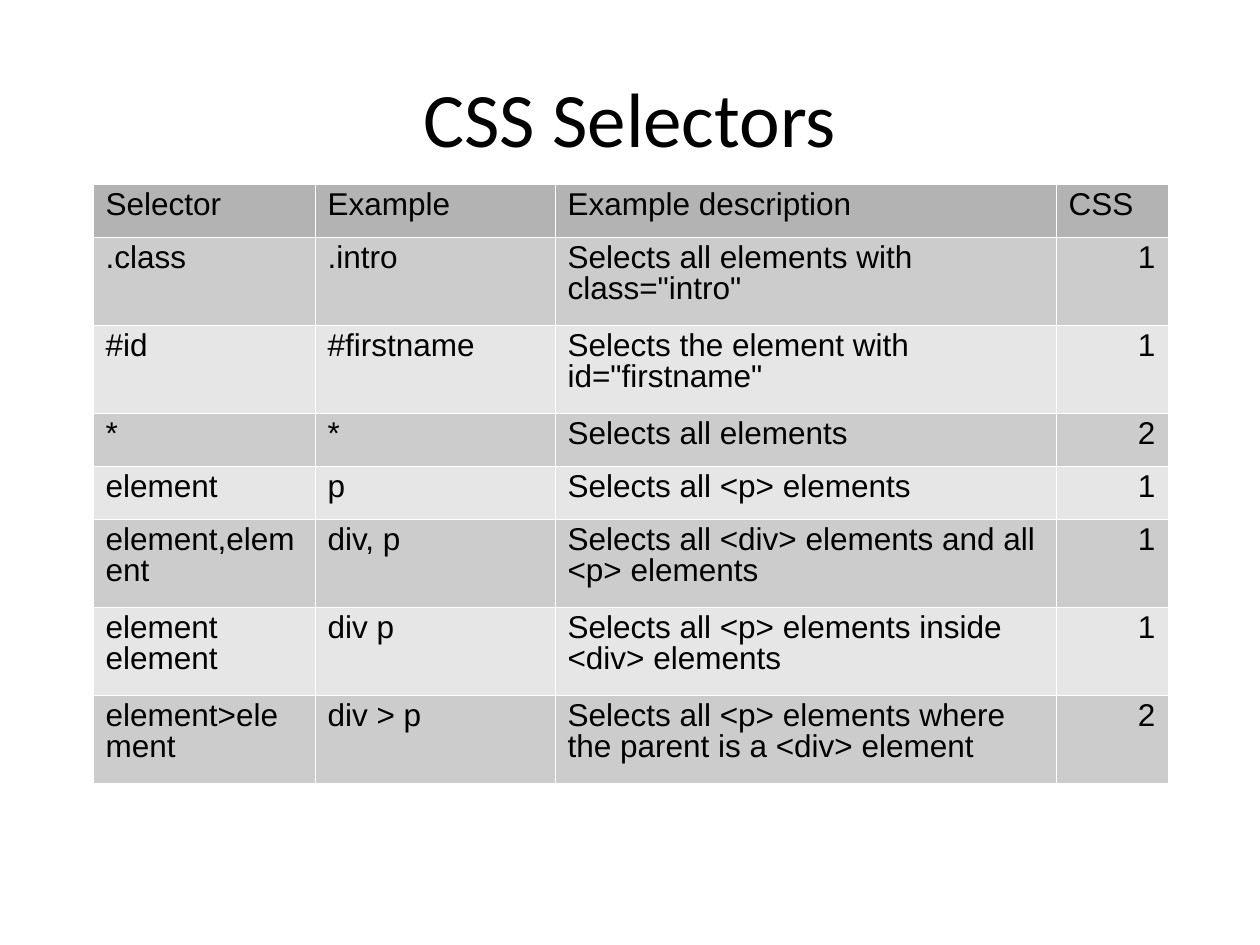
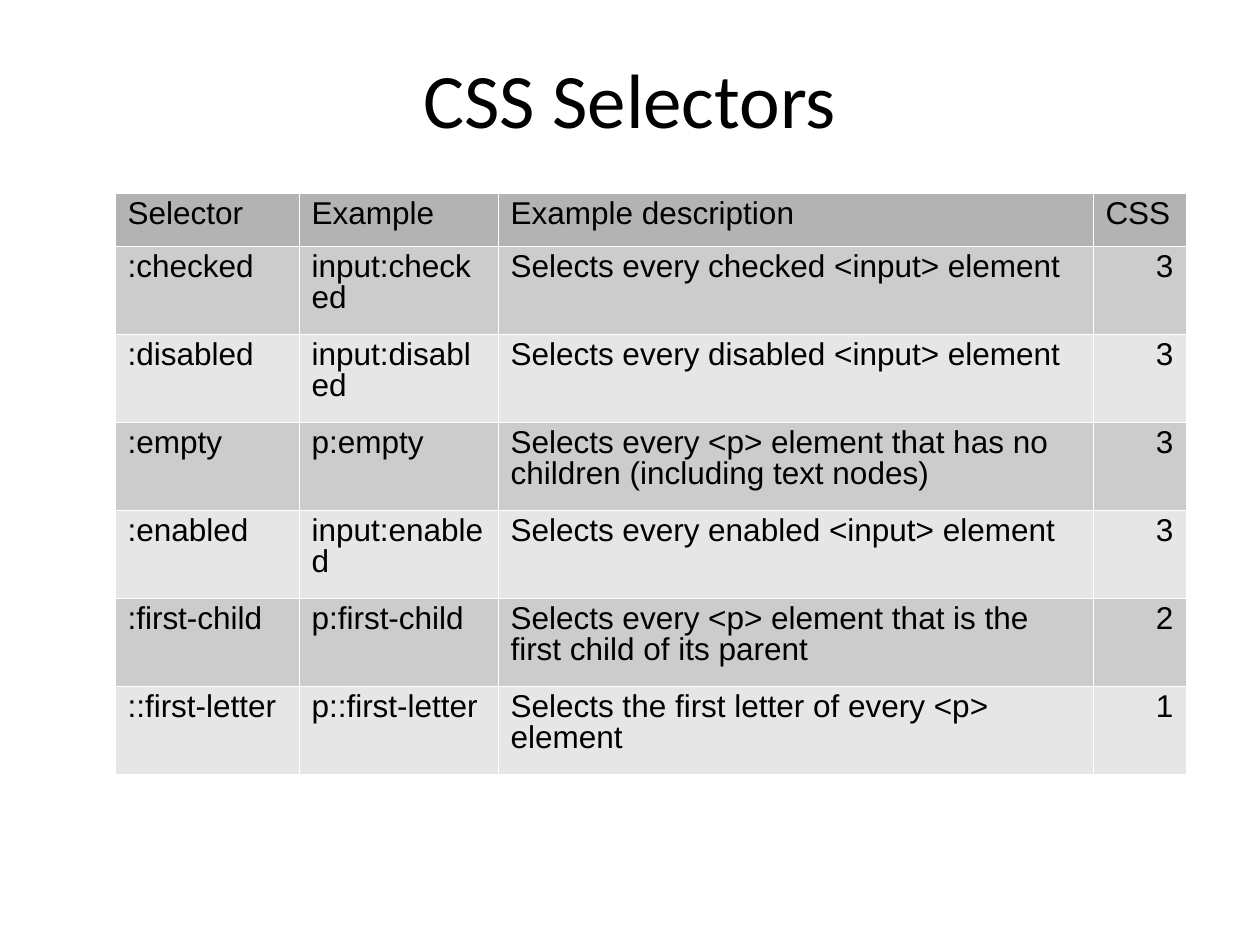
from lxml.etree import SubElement
from pptx import Presentation
from pptx.dml.color import RGBColor
from pptx.enum.text import MSO_ANCHOR, PP_ALIGN
from pptx.oxml.ns import qn
from pptx.util import Pt

PX = 914400 / 126
COLORS = {"text": "000000", "border": "FFFFFF", "header": "B3B3B3",
          "odd": "CCCCCC", "even": "E6E6E6"}
TITLE_FONT = {"name": "Calibri", "size": Pt(44)}
CELL_FONT = {"name": "Arial", "size": Pt(18)}
BORDER_WIDTH = 720
LINE_SPACING = 0.89
SHORT_ROW, TALL_ROW = 53, 88
HEADER = ("Selector", "Example", "Example description", "CSS")

SLIDES = [
    {
        "title_box": (63, 38, 1134, 158),
        "table_corner": (93, 184),
        "columns": (222, 240, 501, 112),
        "short_rows": (0, 3, 4),
        "selectors": [
            (".class", ".intro", 'Selects all elements with class="intro"', "1"),
            ("#id", "#firstname", 'Selects the element with id="firstname"', "1"),
            ("*", "*", "Selects all elements", "2"),
            ("element", "p", "Selects all <p> elements", "1"),
            ("element,element", "div, p",
             "Selects all <div> elements and all <p> elements", "1"),
            ("element element", "div p",
             "Selects all <p> elements inside <div> elements", "1"),
            ("element>element", "div > p",
             "Selects all <p> elements where the parent is a <div> element", "2"),
        ],
    },
    {
        "title_box": (63, 19, 1134, 158),
        "table_corner": (115, 193),
        "columns": (184, 199, 595, 93),
        "short_rows": (0,),
        "selectors": [
            (":checked", "input:checked",
             "Selects every checked <input> element", "3"),
            (":disabled", "input:disabled",
             "Selects every disabled <input> element", "3"),
            (":empty", "p:empty",
             "Selects every <p> element that has no children (including text nodes)",
             "3"),
            (":enabled", "input:enabled",
             "Selects every enabled <input> element", "3"),
            (":first-child", "p:first-child",
             "Selects every <p> element that is the first child of its parent", "2"),
            ("::first-letter", "p::first-letter",
             "Selects the first letter of every <p> element", "1"),
        ],
    },
]


def px(length):
    return round(length * PX)


def write(paragraph, text, font_format, alignment):
    paragraph.text = text
    paragraph.alignment = alignment
    font = paragraph.runs[0].font
    for name, value in font_format.items():
        setattr(font, name, value)
    font.color.rgb = RGBColor.from_string(COLORS["text"])


def add_title(slide, box):
    frame = slide.shapes.add_textbox(*map(px, box)).text_frame
    frame_format = {"word_wrap": True, "vertical_anchor": MSO_ANCHOR.MIDDLE,
                    "margin_left": 0, "margin_right": 0,
                    "margin_top": 0, "margin_bottom": 0}
    for name, value in frame_format.items():
        setattr(frame, name, value)
    write(frame.paragraphs[0], "CSS Selectors", TITLE_FONT, PP_ALIGN.CENTER)


def add_borders(cell):
    """Outline the cell; call before filling it, as lines precede the fill."""
    properties = cell._tc.get_or_add_tcPr()
    for side in ("a:lnL", "a:lnR", "a:lnT", "a:lnB"):
        line = SubElement(properties, qn(side), w=str(BORDER_WIDTH))
        fill = SubElement(line, qn("a:solidFill"))
        SubElement(fill, qn("a:srgbClr"), val=COLORS["border"])


def format_cell(cell, text, color, alignment):
    add_borders(cell)
    cell.fill.solid()
    cell.fill.fore_color.rgb = RGBColor.from_string(color)
    paragraph = cell.text_frame.paragraphs[0]
    write(paragraph, text, CELL_FONT, alignment)
    paragraph.line_spacing = LINE_SPACING


def row_color(row):
    if row == 0:
        return COLORS["header"]
    return COLORS["odd" if row % 2 else "even"]


def add_selector_table(slide, corner, columns, short_rows, selectors):
    rows = [HEADER, *selectors]
    heights = [SHORT_ROW if row in short_rows else TALL_ROW
               for row in range(len(rows))]
    box = (*corner, sum(columns), sum(heights))
    table = slide.shapes.add_table(len(rows), len(columns), *map(px, box)).table
    table.first_row = table.horz_banding = False
    for column, width in zip(table.columns, columns):
        column.width = px(width)
    for row, (texts, height) in enumerate(zip(rows, heights)):
        table.rows[row].height = px(height)
        for column, text in enumerate(texts):
            is_level = row > 0 and HEADER[column] == "CSS"
            alignment = PP_ALIGN.RIGHT if is_level else PP_ALIGN.LEFT
            format_cell(table.cell(row, column), text, row_color(row), alignment)


def main():
    presentation = Presentation()
    presentation.slide_width, presentation.slide_height = px(1260), px(945)
    for content in SLIDES:
        slide = presentation.slides.add_slide(presentation.slide_layouts[6])
        add_title(slide, content["title_box"])
        add_selector_table(slide, content["table_corner"], content["columns"],
                           content["short_rows"], content["selectors"])
    presentation.save("out.pptx")


if __name__ == "__main__":
    main()
